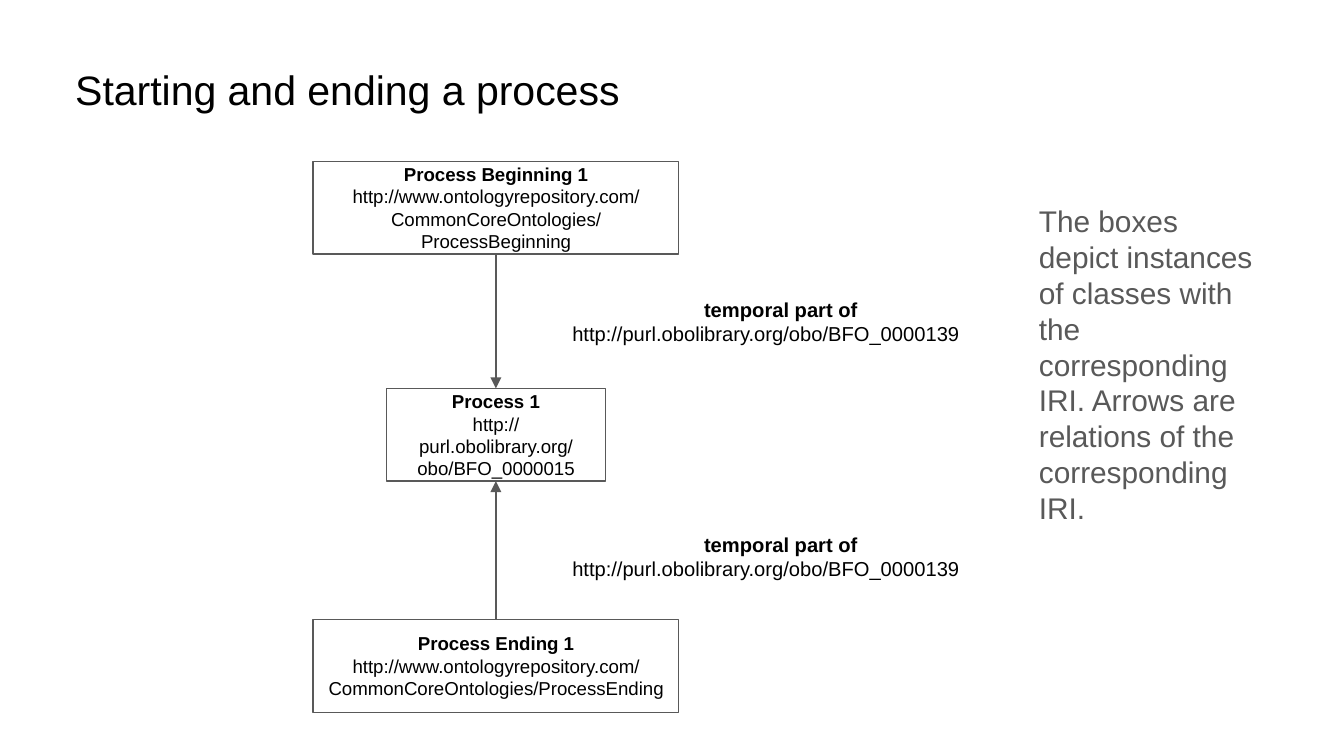
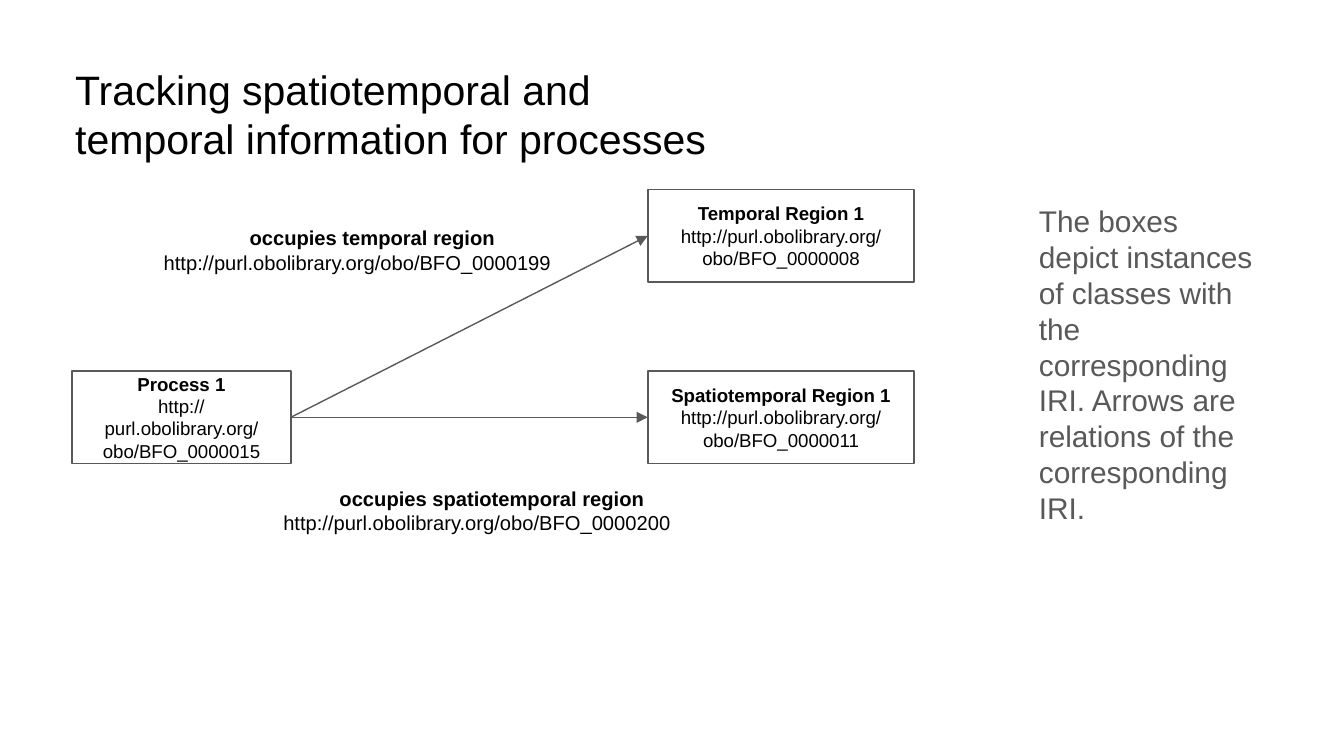
"""Build two slides that diagram processes and their relations."""
from dataclasses import dataclass

from pptx import Presentation
from pptx import util as u
from pptx.dml.color import RGBColor
from pptx.enum import shapes, text
from pptx.oxml.ns import qn
from lxml import etree


@dataclass(frozen=True)
class Theme:
    """Colours, type sizes and line settings shared by the slides."""
    font: str = "Arial"
    ink: RGBColor = RGBColor(0x00, 0x00, 0x00)
    gray: RGBColor = RGBColor(0x59, 0x59, 0x59)
    paper: RGBColor = RGBColor(0xFF, 0xFF, 0xFF)
    title_size: float = 22
    note_size: float = 16
    label_size: float = 10.8
    box_size: float = 10
    line_width: float = 0.75
    line_spacing: float = 1.0
    inset: float = 0.1


THEME = Theme()
BOX_HEIGHT = 0.69
LABEL_SIZE = (3.3, 0.56)
TOP, LEFT, BOTTOM, RIGHT = range(4)
OBO = "http://purl.obolibrary.org/obo/"
CCO = "http://www.ontologyrepository.com/CommonCoreOntologies/"
NOTE = ("The boxes depict instances of classes with the corresponding IRI. "
        "Arrows are relations of the corresponding IRI.")


def place(shape, left, top, width, height):
    """Move and size a shape, in inches."""
    shape.left, shape.top = u.Inches(left), u.Inches(top)
    shape.width, shape.height = u.Inches(width), u.Inches(height)


def write(shape, content, size, color, anchor=text.MSO_ANCHOR.TOP):
    """Fill a shape with left-aligned text in the theme font."""
    frame = shape.text_frame
    frame.text = content
    frame.word_wrap = True
    frame.auto_size = text.MSO_AUTO_SIZE.NONE
    frame.vertical_anchor = anchor
    frame.margin_left = frame.margin_right = u.Inches(THEME.inset)
    frame.margin_top = frame.margin_bottom = u.Inches(THEME.inset)
    for paragraph in frame.paragraphs:
        paragraph.alignment = text.PP_ALIGN.LEFT
        paragraph.line_spacing = THEME.line_spacing
        paragraph.space_before = u.Pt(0)
        for run in paragraph.runs:
            run.font.name = THEME.font
            run.font.size = u.Pt(size)
            run.font.color.rgb = color
    return frame.paragraphs


def emphasize_name(paragraph):
    """Centre a name and set it in bold."""
    paragraph.alignment = text.PP_ALIGN.CENTER
    paragraph.runs[0].font.bold = True


def add_slide(presentation, title, title_width, title_height):
    """Add a slide with its title and the explanatory note."""
    slide = presentation.slides.add_slide(presentation.slide_layouts[1])
    heading, note = slide.shapes.title, slide.placeholders[1]
    place(heading, 0.46, 0.38, title_width, title_height)
    write(heading, title, THEME.title_size, THEME.ink)
    place(note, 7.63, 1.41, 1.81, 2.81)
    paragraph = write(note, NOTE, THEME.note_size, THEME.gray)[0]
    properties = paragraph._p.get_or_add_pPr()
    properties.set("marL", "0")
    properties.set("indent", "0")
    etree.SubElement(properties, qn("a:buNone"))
    return slide


def add_instance(slide, name, iri, center, top, width):
    """Add an outlined box, centred on a point, for an instance and its IRI."""
    box = slide.shapes.add_shape(
        shapes.MSO_SHAPE.RECTANGLE, u.Inches(center - width / 2),
        u.Inches(top), u.Inches(width), u.Inches(BOX_HEIGHT))
    box.shadow.inherit = False
    box.fill.solid()
    box.fill.fore_color.rgb = THEME.paper
    box.line.color.rgb = THEME.gray
    box.line.width = u.Pt(THEME.line_width)
    name_line, iri_line = write(box, f"{name}\n{iri}", THEME.box_size,
                                THEME.ink, text.MSO_ANCHOR.MIDDLE)
    emphasize_name(name_line)
    iri_line.alignment = text.PP_ALIGN.CENTER
    return box


def add_relation(slide, name, iri, left, top):
    """Add a label that names a relation and its IRI."""
    label = slide.shapes.add_textbox(
        u.Inches(left), u.Inches(top), *map(u.Inches, LABEL_SIZE))
    lines = write(label, f"{name}\n{iri}", THEME.label_size, THEME.ink)
    emphasize_name(lines[0])


def add_arrow(slide, source, source_side, target, target_side):
    """Connect two boxes with an arrow that points at the target."""
    arrow = slide.shapes.add_connector(
        shapes.MSO_CONNECTOR.STRAIGHT, 0, 0, 0, 0)
    arrow.begin_connect(source, source_side)
    arrow.end_connect(target, target_side)
    arrow.line.color.rgb = THEME.gray
    arrow.line.width = u.Pt(THEME.line_width)
    etree.SubElement(arrow.line._get_or_add_ln(), qn("a:tailEnd"),
                     type="triangle", w="med", len="med")
    etree.SubElement(arrow._element.spPr, qn("a:effectLst"))


def build_start_and_end(presentation):
    """Show the beginning and the ending as temporal parts of a process."""
    slide = add_slide(presentation, "Starting and ending a process", 5.52, 0.56)
    axis = 3.69
    process = add_instance(slide, "Process 1", OBO + "BFO_0000015",
                           axis, 2.89, 1.63)
    beginning = add_instance(slide, "Process Beginning 1",
                             CCO + "ProcessBeginning", axis, 1.2, 2.72)
    ending = add_instance(slide, "Process Ending 1",
                          CCO + "ProcessEnding", axis, 4.61, 2.72)
    add_arrow(slide, beginning, BOTTOM, process, TOP)
    add_arrow(slide, ending, TOP, process, BOTTOM)
    for top in (2.11, 3.86):
        add_relation(slide, "temporal part of", OBO + "BFO_0000139", 4.16, top)


def build_regions(presentation):
    """Show the regions that a process occupies."""
    slide = add_slide(
        presentation,
        "Tracking spatiotemporal and temporal information for processes",
        5.06, 0.91)
    process = add_instance(slide, "Process 1", OBO + "BFO_0000015",
                           1.35, 2.76, 1.63)
    regions = (
        ("Spatiotemporal Region 1", "BFO_0000011", 2.76,
         "occupies spatiotemporal region", "BFO_0000200", 2.01, 3.52),
        ("Temporal Region 1", "BFO_0000008", 1.41,
         "occupies temporal region", "BFO_0000199", 1.12, 1.58),
    )
    for name, class_id, top, relation, relation_id, label_left, label_top in regions:
        region = add_instance(slide, name, OBO + class_id, 5.81, top, 1.98)
        add_arrow(slide, process, RIGHT, region, LEFT)
        add_relation(slide, relation, OBO + relation_id, label_left, label_top)


def main():
    """Build and save a widescreen presentation."""
    presentation = Presentation()
    presentation.slide_width = u.Inches(10)
    presentation.slide_height = u.Inches(10 * 9 / 16)
    build_start_and_end(presentation)
    build_regions(presentation)
    presentation.save("out.pptx")


if __name__ == "__main__":
    main()
